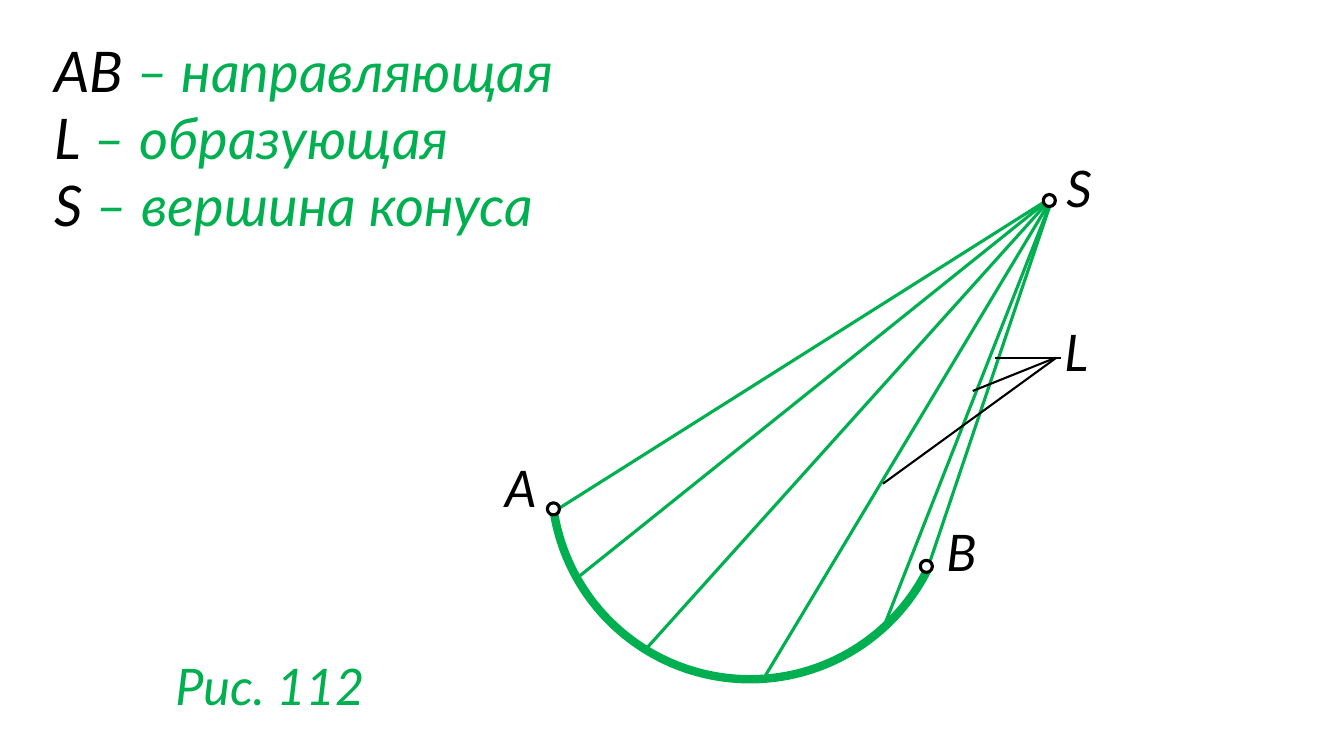
from pptx import Presentation
from pptx import util as u
from pptx.dml import color
from pptx.enum import shapes, text
from lxml import etree

COLORS = {"ink": "000000", "green": "00B050", "paper": "FFFFFF"}
DRAWING_NS = "http://schemas.openxmlformats.org/drawingml/2006/main"


class ConeSlide:
    """Draws on one slide with lengths in square cells, 40 columns across."""

    columns = 40
    font = "Lato"
    label_size = 36

    def __init__(self, deck):
        self.slide = deck.slides.add_slide(deck.slide_layouts[6])
        self.cell = deck.slide_width / self.columns

    def emu(self, *cells):
        return [round(count * self.cell) for count in cells]

    def rgb(self, name):
        return color.RGBColor.from_string(COLORS[name])

    def stroke(self, element, ink, weight):
        element.line.color.rgb = self.rgb(ink)
        element.line.width = u.Pt(weight)

    def caption(self, box, paragraphs, size=label_size, wrap=True):
        frame = self.slide.shapes.add_textbox(*self.emu(*box)).text_frame
        frame.word_wrap = wrap
        frame.auto_size = text.MSO_AUTO_SIZE.SHAPE_TO_FIT_TEXT
        for index, pieces in enumerate(paragraphs):
            paragraph = frame.add_paragraph() if index else frame.paragraphs[0]
            for wording, ink in pieces:
                run = paragraph.add_run()
                run.text = wording
                run.font.name = self.font
                run.font.size = u.Pt(size)
                run.font.italic = True
                run.font.color.rgb = self.rgb(ink)

    def segment(self, start, end, ink, weight):
        line = self.slide.shapes.add_connector(
            shapes.MSO_CONNECTOR.STRAIGHT, *self.emu(*start, *end))
        self.stroke(line, ink, weight)
        etree.SubElement(line._element.spPr, f"{{{DRAWING_NS}}}effectLst")

    def round_shape(self, kind, center, diameter, ink, weight):
        left, top = (middle - diameter / 2 for middle in center)
        shape = self.slide.shapes.add_shape(
            kind, *self.emu(left, top, diameter, diameter))
        shape.shadow.inherit = False
        self.stroke(shape, ink, weight)
        return shape

    def arc(self, center, diameter, start, end, rotation):
        curve = self.round_shape(
            shapes.MSO_SHAPE.ARC, center, diameter, "green", 6)
        curve.fill.background()
        curve.rotation = rotation
        for index, degrees in enumerate((start, end)):
            curve.adjustments[index] = degrees * 0.6

    def point(self, center):
        ring = self.round_shape(
            shapes.MSO_SHAPE.OVAL, center, 0.36, "ink", 2.25)
        ring.fill.solid()
        ring.fill.fore_color.rgb = self.rgb("paper")


def main():
    deck = Presentation()
    deck.slide_width, deck.slide_height = u.Inches(13.33), u.Inches(7.5)
    cone = ConeSlide(deck)

    legend = [
        [("AB", "ink"), (" – направляющая", "green")],
        [("L", "ink"), (" – образующая", "green")],
        [("S ", "ink"), ("– вершина конуса", "green")],
    ]
    cone.caption((1.32, 0.93, 37.59, 6.36), legend, size=40)

    cone.arc((22.32, 14.31), 11.82, 224.65, 10.05, 160.8)
    apex = (31.34, 5.85)
    directrix_points = [(16.47, 15.24), (17.16, 17.22), (19.2, 19.35),
                        (22.68, 20.28), (26.28, 18.72), (27.63, 16.86)]
    for foot in directrix_points:
        cone.segment(apex, foot, "green", 2.25)

    for center in [(16.47, 15.15), (31.23, 5.97), (27.57, 16.86)]:
        cone.point(center)

    leader_row = 10.65
    leaders = [(31.59, (29.61, leader_row)), (31.42, (28.95, 11.64)),
               (31.44, (26.28, 14.4))]
    for column, tip in leaders:
        cone.segment((column, leader_row), tip, "ink", 1.5)

    labels = {"L": (31.38, 9.42, 1.32), "B": (27.87, 15.36, 1.44),
              "S": (31.44, 4.53, 1.41), "A": (14.73, 13.47, 1.53)}
    for letter, place in labels.items():
        cone.caption((*place, 2.13), [[(letter, "ink")]], wrap=False)

    cone.caption((4.92, 19.35, 6.57, 2.13), [[("Рис. 112", "green")]])
    deck.save("out.pptx")


if __name__ == "__main__":
    main()
